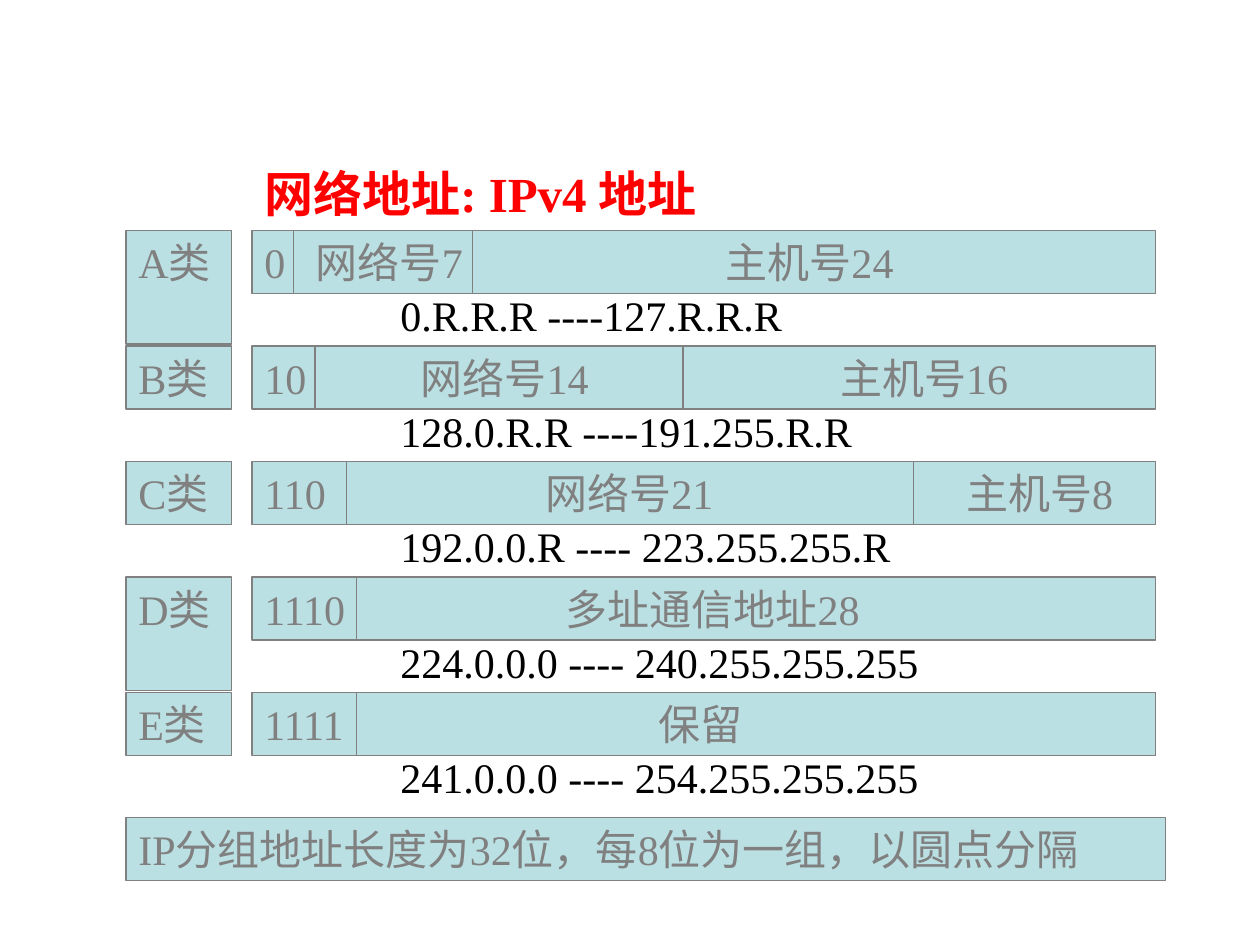
from lxml import etree
from pptx import Presentation
from pptx.dml.color import RGBColor
from pptx.enum.shapes import MSO_CONNECTOR, MSO_SHAPE
from pptx.enum.text import MSO_ANCHOR, MSO_AUTO_SIZE, PP_ALIGN
from pptx.oxml.ns import qn
from pptx.util import Inches, Pt

RECT = MSO_SHAPE.RECTANGLE
LINE = MSO_CONNECTOR.STRAIGHT
TOP = MSO_ANCHOR.TOP
LEFT = PP_ALIGN.LEFT
GROW = MSO_AUTO_SIZE.SHAPE_TO_FIT_TEXT

FONT = "Times New Roman"
HUES = {"fill": "BBE0E3", "gray": "808080", "red": "FF0000", "black": "000000"}

TITLE = "网络地址: IPv4 地址"
NOTE = "IP分组地址长度为32位，每8位为一组，以圆点分隔"
ROWS = [
    {"name": "A类", "tall": 0.9, "parts": ["0", "网络号7", "主机号24"],
     "tabs": [0.41, 3.66], "cuts": [2.33, 3.75],
     "range": "0.R.R.R ----127.R.R.R", "wide": 3.92},
    {"name": "B类", "tall": 0.5, "parts": ["10", "网络号14", "主机号16"],
     "tabs": [1.24, 4.57], "cuts": [2.5, 5.42],
     "range": "128.0.R.R ----191.255.R.R", "wide": 3.92},
    {"name": "C类", "tall": 0.5, "parts": ["110", "网络号21", "主机号8"],
     "tabs": [2.23, 5.57], "cuts": [2.75, 7.25],
     "range": "192.0.0.R ---- 223.255.255.R", "wide": 5.25},
    {"name": "D类", "tall": 0.9, "parts": ["1110", "多址通信地址28"],
     "tabs": [2.39], "cuts": [2.83],
     "range": "224.0.0.0 ---- 240.255.255.255", "wide": 5.5},
    {"name": "E类", "tall": 0.5, "parts": ["1111", "保留"],
     "tabs": [3.13], "cuts": [2.83],
     "range": "241.0.0.0 ---- 254.255.255.255", "wide": 5.08},
]
START, PITCH, HIGH, DROP = 1.83, 11 / 12, 0.5, 0.42
SIDE = 0.84


def color(key):
    return RGBColor.from_string(HUES[key])


def write(shape, text, hue, size=24, bold=False, tabs=()):
    frame = shape.text_frame
    frame.text = text
    frame.word_wrap = True
    frame.auto_size = GROW
    frame.vertical_anchor = TOP
    para = frame.paragraphs[0]
    para.alignment = LEFT
    if tabs:
        stops = etree.SubElement(para._p.get_or_add_pPr(), qn("a:tabLst"))
        for tab in tabs:
            etree.SubElement(stops, qn("a:tab"), pos=str(Inches(tab)), algn="l")
    for run in para.runs:
        run.font.name = FONT
        run.font.size = Pt(size)
        run.font.bold = bold
        run.font.color.rgb = color(hue)


def box(slide, x, y, w, h, text, tabs=()):
    shape = slide.shapes.add_shape(RECT, Inches(x), Inches(y), Inches(w), Inches(h))
    shape.shadow.inherit = False
    shape.fill.solid()
    shape.fill.fore_color.rgb = color("fill")
    shape.line.color.rgb = color("gray")
    shape.line.width = Pt(0.75)
    write(shape, text, "gray", tabs=tabs)


def cut(slide, x, y):
    line = slide.shapes.add_connector(
        LINE, Inches(x), Inches(y), Inches(x), Inches(y + HIGH))
    line.line.color.rgb = color("gray")
    line.line.width = Pt(0.75)
    etree.SubElement(line._element.spPr, qn("a:effectLst"))


def main():
    deck = Presentation()
    deck.slide_width, deck.slide_height = Inches(10), Inches(7.5)
    slide = deck.slides.add_slide(deck.slide_layouts[5])

    title = slide.shapes.title
    title.left, title.top = Inches(2), Inches(1.25)
    title.width, title.height = Inches(7.17), Inches(0.57)
    write(title, TITLE, "red", 28, True)

    for i, row in enumerate(ROWS):
        y = START + i * PITCH
        box(slide, 1, y, SIDE, row["tall"], row["name"])
        box(slide, 2, y, 7.17, HIGH, "\t".join(row["parts"]), row["tabs"])
        for x in row["cuts"]:
            cut(slide, x, y)
        label = slide.shapes.add_textbox(
            Inches(3.08), Inches(y + DROP), Inches(row["wide"]), Inches(HIGH))
        write(label, row["range"], "black")

    box(slide, 1, 6.49, 8.25, HIGH, NOTE)
    deck.save("out.pptx")


if __name__ == "__main__":
    main()
